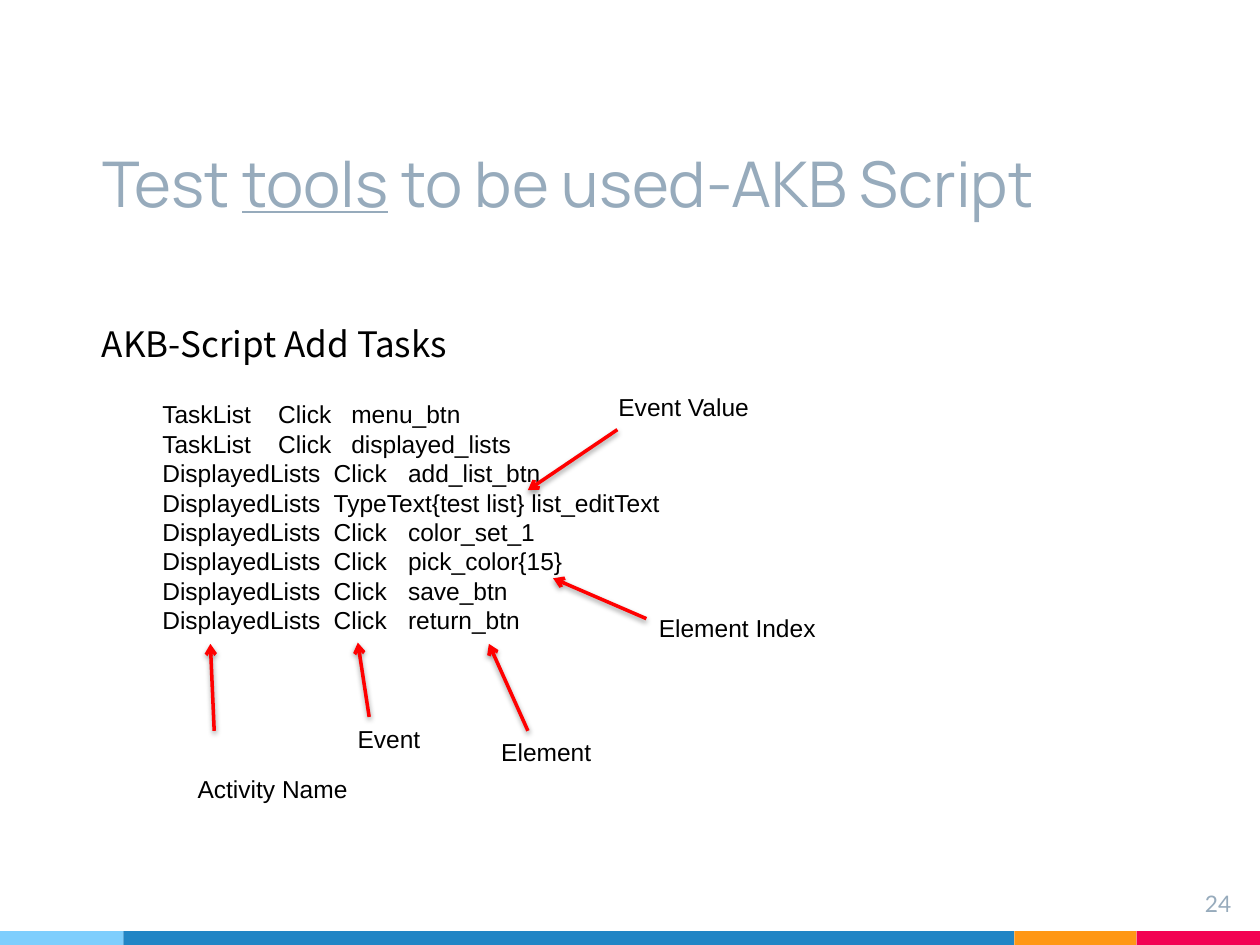
"""Build the slide that explains the parts of an AKB test script."""
from lxml import etree
from pptx import Presentation
from pptx import util as u
from pptx.dml.color import RGBColor
from pptx.enum import shapes, text
from pptx.oxml import parse_xml
from pptx.oxml.ns import nsdecls, qn

BLACK = RGBColor(0x00, 0x00, 0x00)
RED = RGBColor(0xFF, 0x00, 0x00)
SLATE = RGBColor(0x97, 0xAB, 0xBC)
SKY = RGBColor(0x7E, 0xCE, 0xFD)
BLUE = RGBColor(0x21, 0x85, 0xC5)
ORANGE = RGBColor(0xFF, 0x97, 0x15)
PINK = RGBColor(0xF2, 0x02, 0x53)

TITLE = [("Test ", False), ("tools", True), (" to be used-AKB Script", False)]
HEADING = "AKB-Script Add Tasks"
COMMANDS = [
    ("TaskList", "Click", "menu_btn"),
    ("TaskList", "Click", "displayed_lists"),
    ("DisplayedLists", "Click", "add_list_btn"),
    ("DisplayedLists", "TypeText{test list} list_editText"),
    ("DisplayedLists", "Click", "color_set_1"),
    ("DisplayedLists", "Click", "pick_color{15}"),
    ("DisplayedLists", "Click", "save_btn"),
    ("DisplayedLists", "Click", "return_btn"),
]
TAB_STOPS = {"TaskList": (0.92, 1.5), "DisplayedLists": (1.36, 1.95)}
LABELS = [
    ("Activity Name", 1.47, 6.09, 1.46),
    ("Event", 2.74, 5.7, 1.46),
    ("Element", 3.88, 5.8, 1.46),
    ("Element Index", 5.13, 4.82, 1.85),
    ("Event Value", 4.81, 3.06, 1.46),
]
ARROWS = [
    (1.7, 5.8, 1.67, 5.11),
    (2.93, 5.69, 2.84, 5.1),
    (4.19, 5.8, 3.88, 5.11),
    (5.13, 4.91, 4.39, 4.59),
    (4.9, 3.41, 4.19, 3.89),
]
BANDS = [(SKY, 0.98), (BLUE, 7.07), (ORANGE, 0.97), (PINK, 0.98)]
BAND_TOP, BAND_HEIGHT = 7.39, 0.11
SHADOW = (
    f'<a:effectLst {nsdecls("a")}>'
    '<a:outerShdw blurRad="39370" dist="20320" dir="5400000" rotWithShape="0">'
    '<a:srgbClr val="000000"><a:alpha val="38000"/></a:srgbClr>'
    "</a:outerShdw></a:effectLst>"
)


def add_run(p, content, *, size=14, font="Arial", color=BLACK, underline=None):
    r = p.add_run()
    r.text = content
    f = r.font
    f.size, f.name, f.underline = u.Pt(size), font, underline
    f.color.rgb = color
    for tag in ("a:ea", "a:cs"):
        r._r.get_or_add_rPr().append(etree.Element(qn(tag), typeface=font))


def set_frame(tf, inset, anchor=text.MSO_ANCHOR.TOP):
    tf.word_wrap = True
    tf.auto_size = text.MSO_AUTO_SIZE.NONE
    tf.vertical_anchor = anchor
    tf.margin_left = tf.margin_right = u.Inches(0.1)
    tf.margin_top = tf.margin_bottom = u.Inches(inset)


def add_box(s, x, y, w, h, inset=0.05):
    tf = s.shapes.add_textbox(*map(u.Inches, (x, y, w, h))).text_frame
    set_frame(tf, inset)
    return tf


def set_tabs(p, stops):
    tabs = etree.SubElement(p._p.get_or_add_pPr(), qn("a:tabLst"))
    for stop in stops:
        etree.SubElement(tabs, qn("a:tab"), pos=str(u.Inches(stop)), algn="l")


def add_bands(s):
    x = 0
    for color, width in BANDS:
        sp = s.shapes.add_shape(
            shapes.MSO_SHAPE.RECTANGLE,
            *map(u.Inches, (x, BAND_TOP, width, BAND_HEIGHT)))
        sp.shadow.inherit = False
        sp.fill.solid()
        sp.fill.fore_color.rgb = color
        sp.line.fill.background()
        x += width


def add_title(s):
    sp = s.shapes.title
    sp.left, sp.top, sp.width, sp.height = map(u.Inches, (0.71, 0.6, 9.04, 1.25))
    set_frame(sp.text_frame, 0.1, text.MSO_ANCHOR.BOTTOM)
    p = sp.text_frame.paragraphs[0]
    p.alignment = text.PP_ALIGN.LEFT
    for content, underline in TITLE:
        add_run(p, content, size=36, font="Manrope", color=SLATE, underline=underline)


def add_commands(s):
    tf = add_box(s, 1.19, 3.12, 5, 1.99)
    for i, command in enumerate(COMMANDS):
        p = tf.add_paragraph() if i else tf.paragraphs[0]
        set_tabs(p, TAB_STOPS[command[0]])
        add_run(p, "\t".join(command))


def add_arrow(s, x1, y1, x2, y2):
    sp = s.shapes.add_connector(
        shapes.MSO_CONNECTOR.STRAIGHT, *map(u.Inches, (x1, y1, x2, y2)))
    sp.line.color.rgb = RED
    sp.line.width = u.Pt(2)
    etree.SubElement(sp.line._get_or_add_ln(), qn("a:tailEnd"), type="arrow")
    sp._element.spPr.append(parse_xml(SHADOW))


def main():
    prs = Presentation()
    prs.slide_width, prs.slide_height = u.Inches(10), u.Inches(7.5)
    s = prs.slides.add_slide(prs.slide_layouts[5])
    add_bands(s)
    add_title(s)
    p = add_box(s, 9.27, 6.96, 0.6, 0.46, inset=0.1).paragraphs[0]
    p.alignment = text.PP_ALIGN.RIGHT
    add_run(p, "24", size=13, font="Lato", color=SLATE)
    add_commands(s)
    heading = add_box(s, 0.71, 2.51, 3.32, 0.44).paragraphs[0]
    add_run(heading, HEADING, size=20, font="Noto Sans CJK SC")
    for label, x, y, width in LABELS:
        add_run(add_box(s, x, y, width, 0.34).paragraphs[0], label)
    for arrow in ARROWS:
        add_arrow(s, *arrow)
    prs.save("out.pptx")


if __name__ == "__main__":
    main()
